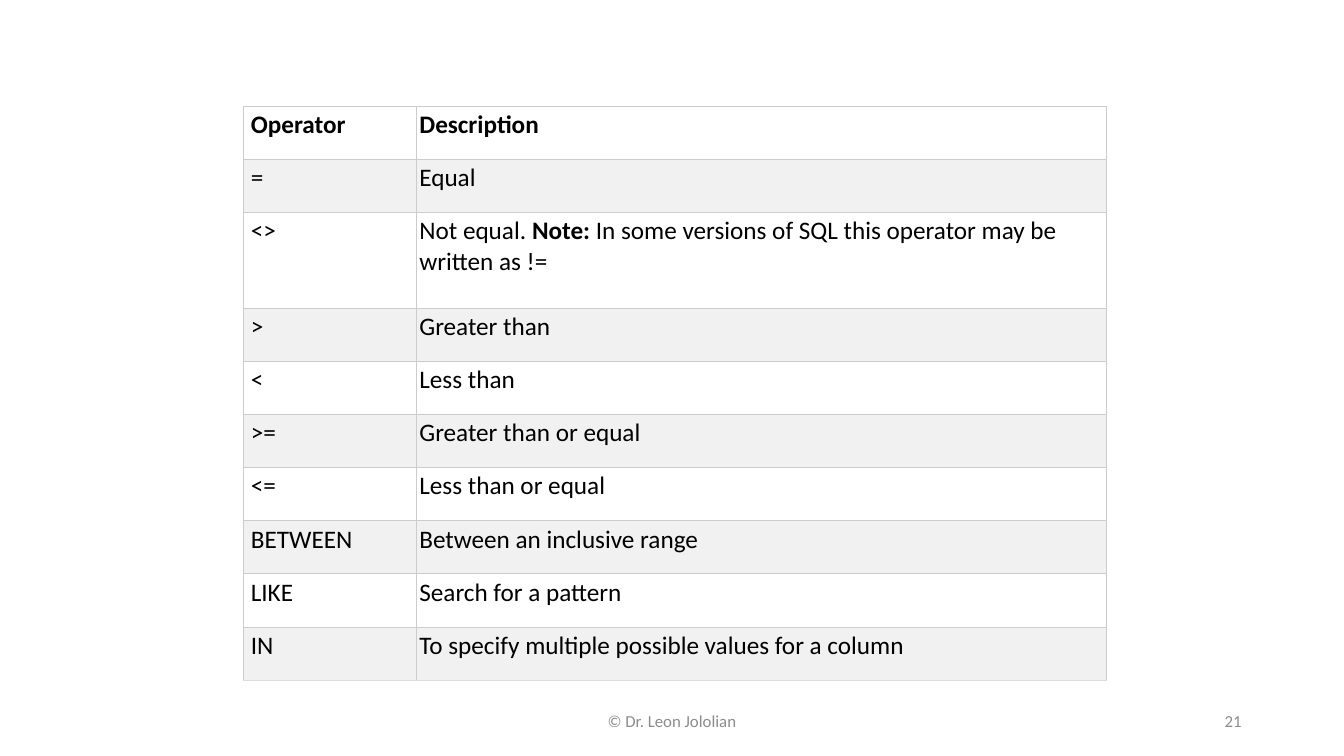
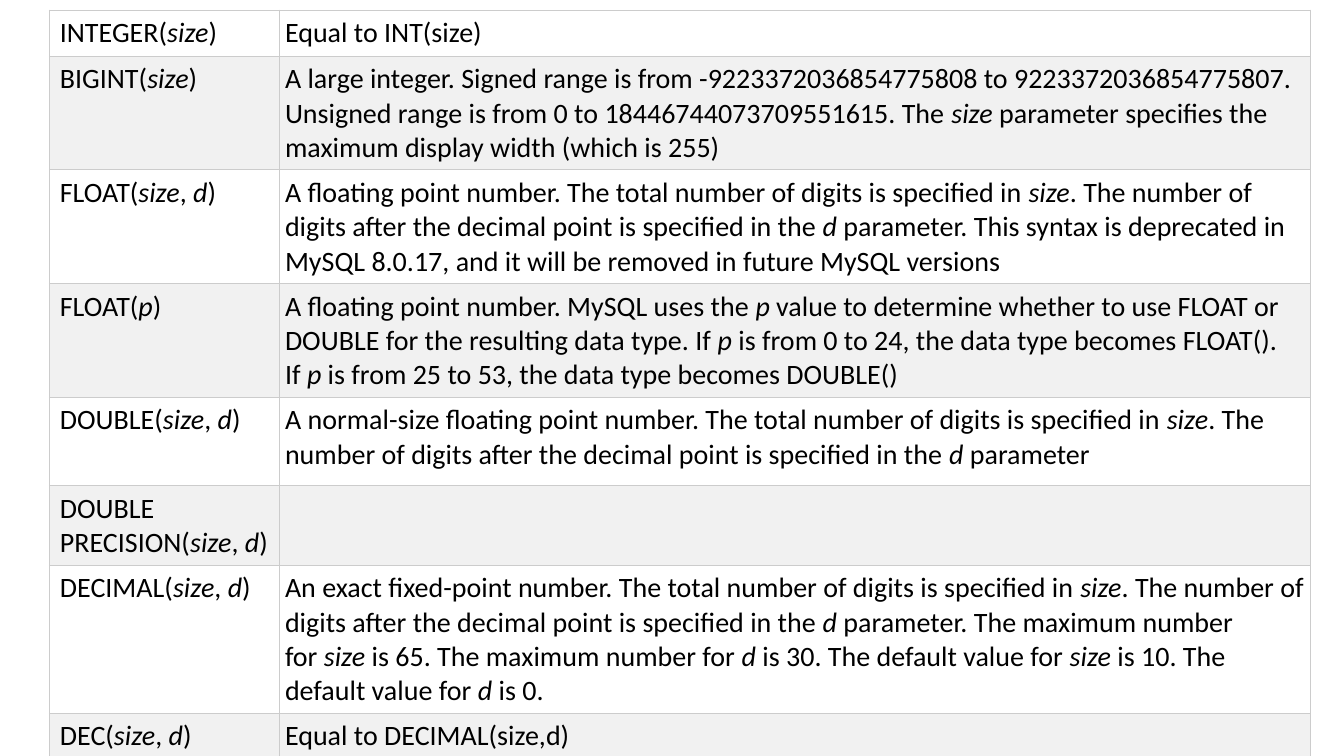
from lxml.etree import SubElement
from pptx import Presentation
from pptx.dml.color import RGBColor
from pptx.enum.text import MSO_ANCHOR, PP_ALIGN
from pptx.oxml.ns import qn
from pptx.util import Pt

FONT = "Calibri"
TEXT = "000000"
FOOTER = "8C8C8C"
BANDS = ("FFFFFF", "F1F1F1")
GRID = "CCCCCC"
GRID_END = "DDDDDD"
HARD_SPACE = chr(160)

OPERATORS = [
    ("*Operator*", "*Description*"),
    ("=", "Equal"),
    ("<>", "Not equal. *Note:* In some versions of SQL this operator may be written as !="),
    (">", "Greater than"),
    ("<", "Less than"),
    (">=", "Greater than or equal"),
    ("<=", "Less than or equal"),
    ("BETWEEN", "Between an inclusive range"),
    ("LIKE", "Search for a pattern"),
    ("IN", "To specify multiple possible values for a column"),
]

NUMBER_TYPES = [
    ("INTEGER(*size*)", "Equal to INT(size)"),
    ("BIGINT(*size*)",
     "A large integer. Signed range is from -9223372036854775808 to 9223372036854775807. "
     "Unsigned range is from 0 to 18446744073709551615. The *size* parameter specifies "
     "the maximum display width (which is 255)"),
    ("FLOAT(*size*, *d*)",
     "A floating point number. The total number of digits is specified in *size*. "
     "The number of digits after the decimal point is specified in the *d* parameter. "
     "This syntax is deprecated in MySQL 8.0.17, and it will be removed in future MySQL versions"),
    ("FLOAT(*p*)",
     "A floating point number. MySQL uses the *p* value to determine whether to use FLOAT "
     "or DOUBLE for the resulting data type. If *p* is from 0 to 24, the data type becomes "
     "FLOAT(). If *p* is from 25 to 53, the data type becomes DOUBLE()"),
    ("DOUBLE(*size*, *d*)",
     "A normal-size floating point number. The total number of digits is specified in *size*. "
     "The number of digits after the decimal point is specified in the *d* parameter"),
    ("DOUBLE PRECISION(*size*, *d*)", ""),
    ("DECIMAL(*size*, *d*)",
     "An exact fixed-point number. The total number of digits is specified in *size*. "
     "The number of digits after the decimal point is specified in the *d* parameter. "
     "The maximum number for *size* is 65. The maximum number for *d* is 30. "
     "The default value for *size* is 10. The default value for *d* is 0."),
    ("DEC(*size*, *d*)", "Equal to DECIMAL(size,d)"),
]


def color(value):
    return RGBColor.from_string(value)


def style_span(span, size, value):
    span.font.name = FONT
    span.font.size = Pt(size)
    span.font.color.rgb = color(value)


def add_page(deck):
    return deck.slides.add_slide(deck.slide_layouts[6])


def add_footer_text(page, text, left, width, alignment):
    box = page.shapes.add_textbox(Pt(left), Pt(500.5), Pt(width), Pt(28.8))
    box.text_frame.word_wrap = True
    box.text_frame.vertical_anchor = MSO_ANCHOR.MIDDLE
    box.text_frame.text = text
    para = box.text_frame.paragraphs[0]
    para.alignment = alignment
    style_span(para.runs[0], 12, FOOTER)


def set_borders(cell, weight, bottom):
    properties = cell._tc.get_or_add_tcPr()
    for side, value in (("L", GRID), ("R", GRID), ("T", GRID), ("B", bottom)):
        line = SubElement(properties, qn("a:ln" + side), w=str(Pt(weight)))
        fill = SubElement(line, qn("a:solidFill"))
        SubElement(fill, qn("a:srgbClr"), val=value)


def write_marked_text(para, text, size, emphasis):
    text = text.replace(" *", HARD_SPACE + "*").replace("* ", "*" + HARD_SPACE)
    for index, piece in enumerate(text.split("*")):
        if piece:
            span = para.add_run()
            span.text = piece
            style_span(span, size, TEXT)
            setattr(span.font, emphasis, index % 2 == 1)


def add_banded_table(page, entries, left, top, widths, heights, size, emphasis,
                     weight, first_inset, side_inset, vertical_inset):
    frame = page.shapes.add_table(len(entries), len(widths), Pt(left), Pt(top),
                                  Pt(sum(widths)), Pt(sum(heights)))
    table = frame.table
    table.first_row = False
    table.horz_banding = False
    for column, width in zip(table.columns, widths):
        column.width = Pt(width)
    for row_index, (entry, height) in enumerate(zip(entries, heights)):
        table.rows[row_index].height = Pt(height)
        bottom = GRID_END if row_index == len(entries) - 1 else GRID
        for column_index, text in enumerate(entry):
            cell = table.cell(row_index, column_index)
            cell.margin_left = Pt(side_inset if column_index else first_inset)
            cell.margin_right = Pt(side_inset)
            cell.margin_top = cell.margin_bottom = Pt(vertical_inset)
            set_borders(cell, weight, bottom)
            cell.fill.solid()
            cell.fill.fore_color.rgb = color(BANDS[row_index % 2])
            write_marked_text(cell.text_frame.paragraphs[0], text, size, emphasis)


def main():
    deck = Presentation()
    deck.slide_width = Pt(960)
    deck.slide_height = Pt(540)

    operator_page = add_page(deck)
    add_footer_text(operator_page, "© Dr. Leon Jololian", 318, 324, PP_ALIGN.CENTER)
    add_footer_text(operator_page, "21", 678, 216, PP_ALIGN.RIGHT)
    operator_heights = [68.5 if entry[0] == "<>" else 37.95 for entry in OPERATORS]
    add_banded_table(operator_page, OPERATORS, 174, 75.8, (123.3, 493),
                     operator_heights, 18, "bold", 0.33, 5.2, 2.3, 2.5)

    one_line, three_lines = 32, 81.2
    type_heights = [one_line, three_lines, three_lines, three_lines,
                    63, 57.1, 105.7, 31.4]
    add_banded_table(add_page(deck), NUMBER_TYPES, 35.3, 7.2, (164.5, 736),
                     type_heights, 20, "italic", 0.75, 7.5, 3.8, 4.4)

    deck.save("out.pptx")


if __name__ == "__main__":
    main()
